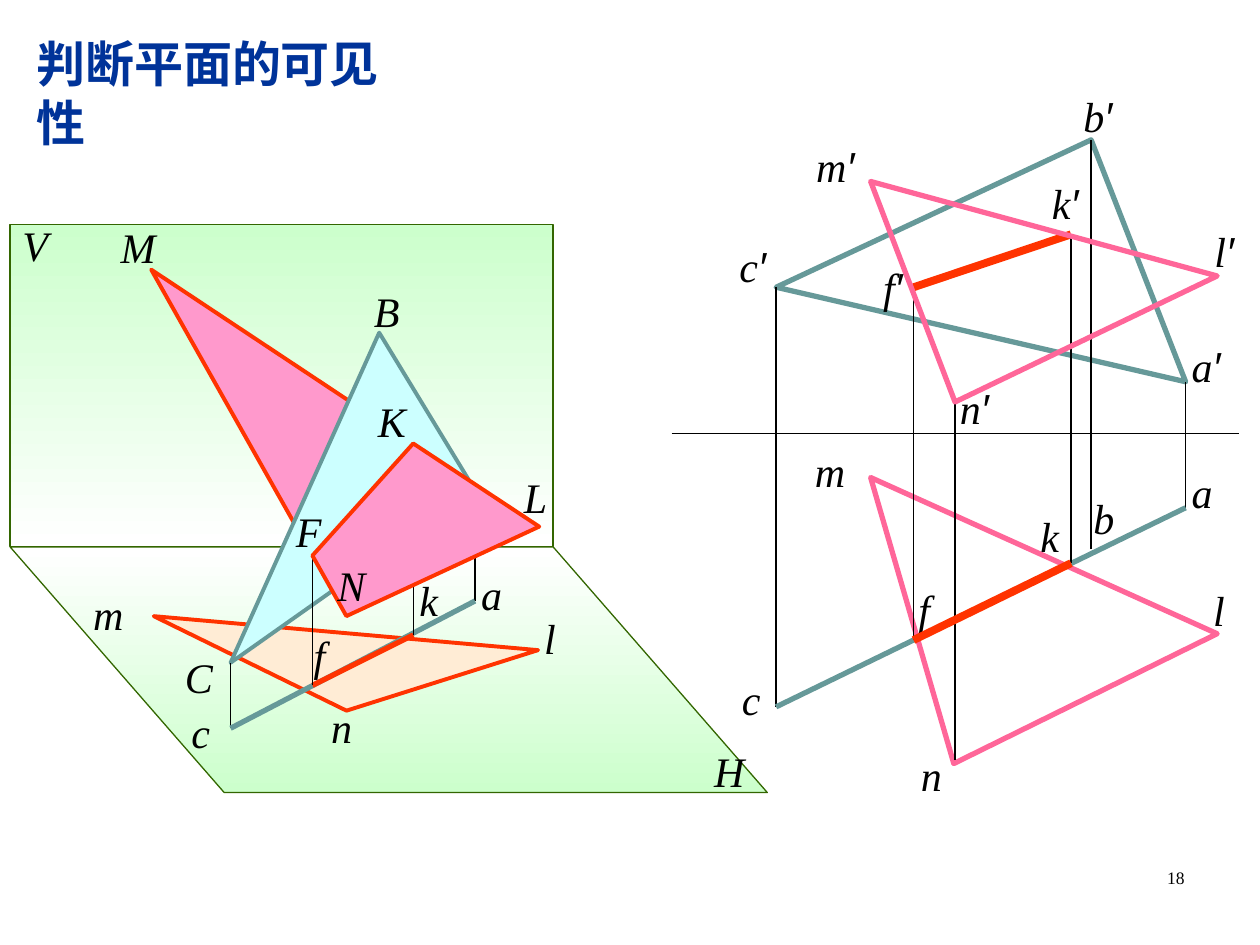
from dataclasses import dataclass
from typing import Optional

from lxml.etree import SubElement
from pptx import Presentation
from pptx.dml.color import RGBColor
from pptx.enum.shapes import MSO_CONNECTOR
from pptx.enum.text import MSO_AUTO_SIZE, PP_ALIGN
from pptx.oxml.ns import qn
from pptx.util import Inches, Pt

COLORS = {
    "black": "000000", "white": "FFFFFF", "title": "003399",
    "plane": "CCFFCC", "plane_edge": "336600", "red": "FF3300",
    "pink": "FF99CC", "rose": "FF6699", "cream": "FFECD5",
    "cyan": "CCFFFF", "teal": "669999",
}
SERIF, SANS = "Times New Roman", "Arial"

# Vertices in space, capitals for points and small letters for their projections on H
SPACE = {
    "M": (1.2, 2.14), "K": (3.28, 3.52), "F": (2.48, 4.41), "N": (2.75, 4.89), "L": (4.28, 4.18),
    "A": (3.77, 3.89), "B": (3.01, 2.64), "C": (1.83, 5.26),
    "m": (1.22, 4.89), "n": (2.75, 5.64), "l": (4.27, 5.16),
    "a": (3.77, 4.77), "c": (1.83, 5.78), "f": (2.48, 5.44), "k": (3.28, 5.04),
}
# Front (primed) and top projections
VIEWS = {
    "a′": (9.41, 3.03), "b′": (8.66, 1.11), "c′": (6.16, 2.28),
    "m′": (6.91, 1.44), "n′": (7.58, 3.19), "l′": (9.66, 2.19),
    "f′": (7.25, 2.28), "k′": (8.5, 1.86),
    "a": (9.41, 4.03), "b": (8.66, 4.36), "c": (6.16, 5.61),
    "m": (6.91, 3.79), "n": (7.57, 6.06), "l": (9.66, 5.03),
    "f": (7.25, 5.08), "k": (8.5, 4.47),
}


@dataclass
class Polygon:
    vertices: list
    line: str
    width: float
    fill: Optional[str] = None
    gradient: Optional[tuple] = None


@dataclass
class Line:
    start: tuple
    end: tuple
    color: str = "black"
    width: float = 0.75


@dataclass
class Label:
    text: str
    left: float
    top: float
    width: float = 0.67


def rgb(name: str) -> RGBColor:
    return RGBColor.from_string(COLORS[name])


def draw_polygon(shapes, polygon: Polygon) -> None:
    points = [(Inches(x), Inches(y)) for x, y in polygon.vertices]
    builder = shapes.build_freeform(*points[0])
    builder.add_line_segments(points[1:], close=True)
    shape = builder.convert_to_shape()
    shape.shadow.inherit = False
    shape.line.color.rgb = rgb(polygon.line)
    shape.line.width = Pt(polygon.width)
    if polygon.gradient:
        shape.fill.gradient()
        shape.fill.gradient_angle = 270
        for stop, color, position in zip(shape.fill.gradient_stops, polygon.gradient, (0, 1)):
            stop.color.rgb = rgb(color)
            stop.position = position
    elif polygon.fill:
        shape.fill.solid()
        shape.fill.fore_color.rgb = rgb(polygon.fill)
    else:
        shape.fill.background()


def draw_line(shapes, line: Line) -> None:
    ends = [Inches(value) for value in line.start + line.end]
    connector = shapes.add_connector(MSO_CONNECTOR.STRAIGHT, *ends)
    connector.line.color.rgb = rgb(line.color)
    connector.line.width = Pt(line.width)
    SubElement(connector._element.spPr, qn("a:effectLst"))


def add_text(shapes, text: str, box: tuple, size: float, font: str, color: str = "black"):
    shape = shapes.add_textbox(*[Inches(value) for value in box])
    text_frame = shape.text_frame
    text_frame.text = text
    text_frame.word_wrap = True
    paragraph = text_frame.paragraphs[0]
    run = paragraph.runs[0]
    run.font.size, run.font.name = Pt(size), font
    run.font.color.rgb = rgb(color)
    return text_frame, paragraph, run


def draw_label(shapes, label: Label) -> None:
    box = (label.left, label.top, label.width, 0.5)
    text_frame, paragraph, run = add_text(shapes, label.text[0], box, 24, SERIF)
    text_frame.auto_size = MSO_AUTO_SIZE.SHAPE_TO_FIT_TEXT
    run.font.italic = True
    if len(label.text) > 1:
        prime = paragraph.add_run()
        prime.text = label.text[1:]
        prime.font.size, prime.font.name, prime.font.italic = Pt(24), SANS, True
        prime.font.color.rgb = rgb("black")


DRAW = {Polygon: draw_polygon, Line: draw_line, Label: draw_label}


def draw_group(slide, parts: list) -> None:
    group = slide.shapes.add_group_shape()
    for part in parts:
        DRAW[type(part)](group.shapes, part)


def pick(points: dict, names: str) -> list:
    return [points[name] for name in names.split()]


def space_line(names: str, color: str = "black", width: float = 0.75) -> Line:
    return Line(*pick(SPACE, names), color, width)


def view_line(names: str, color: str = "black", width: float = 0.75) -> Line:
    return Line(*pick(VIEWS, names), color, width)


def space_polygon(names: str, line: str, fill: str) -> Polygon:
    return Polygon(pick(SPACE, names), line, 2.25, fill)


def view_polygon(names: str, line: str) -> Polygon:
    return Polygon(pick(VIEWS, names), line, 3)


def view_label(text: str, left: float, top: float, width: float = 0.64) -> Label:
    return Label(text, left, top, width)


# Back to front: planes V and H, then the triangles hiding one another
SPACE_PARTS = [
    Polygon([(0.08, 1.78), (4.39, 1.78), (4.39, 4.34), (0.08, 4.34)],
            "plane_edge", 0.75, gradient=("plane", "white")),
    Polygon([(0.08, 4.34), (1.78, 6.29), (6.09, 6.29), (4.39, 4.34)],
            "plane_edge", 0.75, gradient=("white", "plane")),
    Label("V", 0.08, 1.69, 0.79), Label("H", 5.57, 5.87, 0.78),
    space_polygon("F M K", "red", "pink"), Label("M", 0.86, 1.71),
    space_polygon("n l m", "red", "cream"),
    Label("m", 0.64, 4.62), Label("n", 2.53, 5.52), Label("l", 4.22, 4.81),
    Label("B", 2.87, 2.22, 0.76),
    space_polygon("A C B", "teal", "cyan"), Label("C", 1.37, 5.12, 0.76),
    space_line("a A"), space_line("c C"),
    Label("a", 3.72, 4.46, 0.68), Label("c", 1.42, 5.56),
    space_line("a c", "teal", 3), space_line("f k", "red", 3), Label("k", 3.23, 4.51),
    space_line("F f"), space_line("K k"), Label("f", 2.39, 4.95),
    space_polygon("K F N L", "red", "pink"),
    Label("F", 2.25, 3.96), Label("K", 2.9, 3.09),
    Label("N", 2.58, 4.39), Label("L", 4.06, 3.69),
]

# Front view above the axis, top view below it
VIEW_PARTS = [
    view_polygon("c′ b′ a′", "teal"), view_label("b′", 8.5, 0.67),
    Line((5.33, 3.44), (9.83, 3.44)), view_label("b", 8.58, 3.86),
    view_line("c c′"), view_line("a a′"), view_line("b b′"),
    view_polygon("m l n", "rose"), Line((7.58, 6.03), VIEWS["n′"]),
    view_line("c a", "teal", 3),
    view_label("a", 9.36, 3.65), view_label("c", 5.79, 5.3), view_label("n", 7.21, 5.9),
    view_label("l", 9.53, 4.59), view_label("m", 6.37, 3.49),
    view_label("c′", 5.77, 1.86), view_label("m′", 6.38, 1.07), view_label("a′", 9.36, 2.65),
    view_label("l′", 9.54, 1.74), view_label("n′", 7.52, 2.99),
    view_line("k′ f′", "red", 4.5),
    view_label("f", 7.19, 4.58), view_label("k", 8.16, 4),
    view_line("f f′"), view_line("k k′"), view_line("f k", "red", 4.5),
    view_polygon("m′ n′ l′", "rose"),
    view_label("f′", 6.91, 2.03, 0.75), view_label("k′", 8.25, 1.36, 0.75),
]


def main() -> None:
    presentation = Presentation()
    presentation.slide_width, presentation.slide_height = Inches(10), Inches(7.5)
    slide = presentation.slides.add_slide(presentation.slide_layouts[6])

    draw_group(slide, SPACE_PARTS)
    draw_group(slide, VIEW_PARTS)

    # Title and page number
    text_frame, _, run = add_text(
        slide.shapes, "判断平面的可见性", (0.19, 0.22, 3.3, 0.57), 28, SANS, "title")
    text_frame.word_wrap = False
    text_frame.auto_size = MSO_AUTO_SIZE.SHAPE_TO_FIT_TEXT
    run.font.bold = True
    _, paragraph, _ = add_text(slide.shapes, "18", (7.17, 6.83, 2.33, 0.5), 10, SERIF)
    paragraph.alignment = PP_ALIGN.RIGHT

    presentation.save("out.pptx")


if __name__ == "__main__":
    main()
